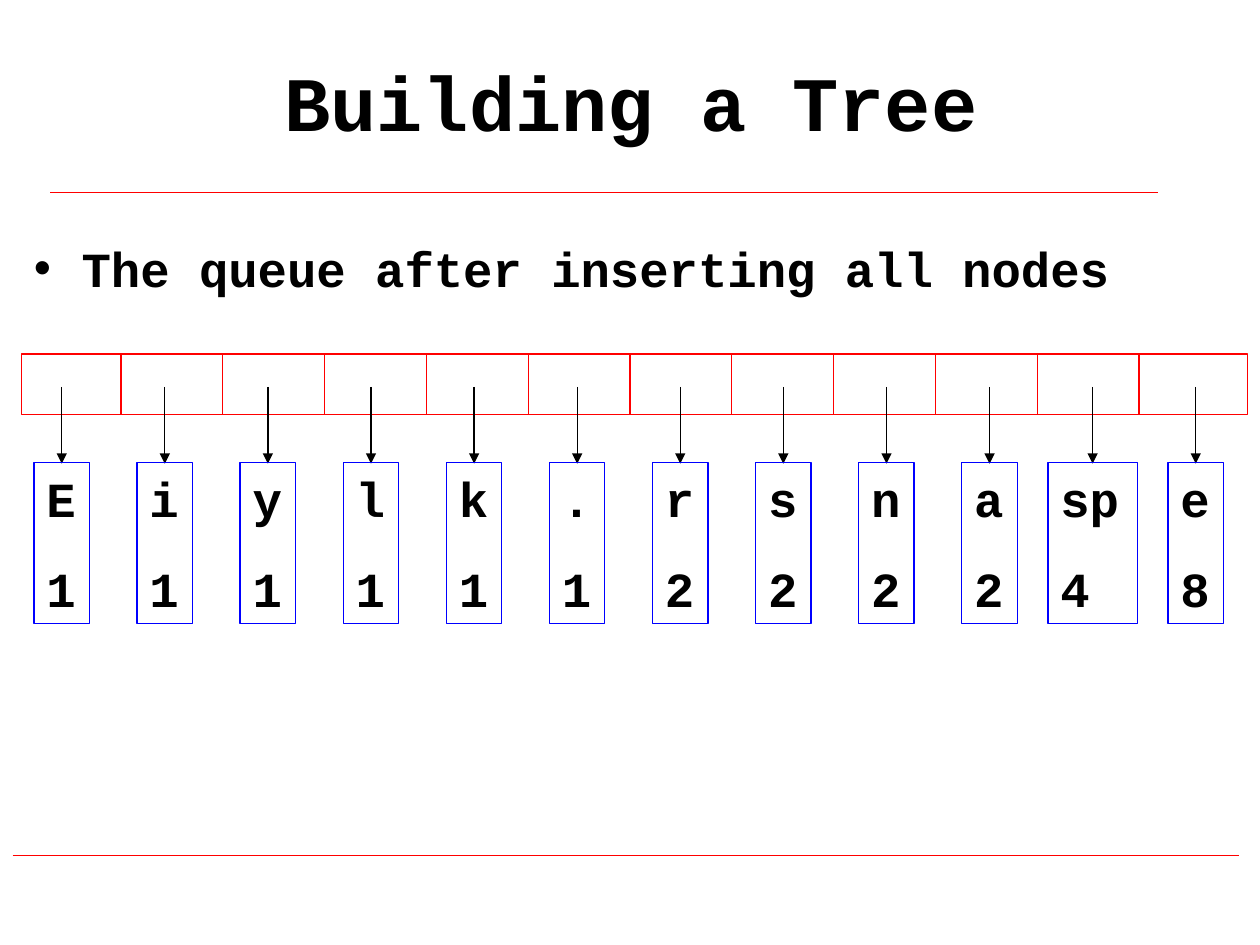
import pptx
import pptx.util
import pptx.dml.color
import pptx.enum.shapes
import pptx.enum.text
import pptx.oxml
import pptx.oxml.ns
from pptx.util import Inches

FONT = "Courier New"
COLORS = {"text": "000000", "rule": "FF0000", "node": "0000FF", "paper": "FFFFFF"}
NODES = [("E", 1), ("i", 1), ("y", 1), ("l", 1), ("k", 1), (".", 1),
         ("r", 2), ("s", 2), ("n", 2), ("a", 2), ("sp", 4), ("e", 8)]


def color(name):
    return pptx.dml.color.RGBColor.from_string(COLORS[name])


def add_child(parent, tag, **attrs):
    node = pptx.oxml.ns.qn(tag)
    child = parent.makeelement(node, attrs)
    parent.append(child)
    return child


def style(para, size):
    font = para.font
    font.name, font.size, font.bold = FONT, pptx.util.Pt(size), True
    font.color.rgb = color("text")


def add_line(slide, x1, y1, x2, y2, tint, arrow=False):
    line = slide.shapes.add_connector(
        pptx.enum.shapes.MSO_CONNECTOR.STRAIGHT,
        Inches(x1), Inches(y1), Inches(x2), Inches(y2))
    line.line.color.rgb = color(tint)
    line.line.width = pptx.util.Pt(0.75)
    props = line.line._get_or_add_ln()
    if arrow:
        add_child(props, "a:tailEnd", type="triangle")
    add_child(props.getparent(), "a:effectLst")


def add_box(slide, x, y, w, h, tint, fill=None):
    box = slide.shapes.add_shape(
        pptx.enum.shapes.MSO_SHAPE.RECTANGLE,
        Inches(x), Inches(y), Inches(w), Inches(h))
    box.shadow.inherit = False
    if fill:
        box.fill.solid()
        box.fill.fore_color.rgb = color(fill)
    else:
        box.fill.background()
    box.line.color.rgb = color(tint)
    box.line.width = pptx.util.Pt(0.75)
    return box


def add_text(slide, x, y, w, h, text):
    frame = slide.shapes.add_textbox(
        Inches(x), Inches(y), Inches(w), Inches(h)).text_frame
    frame.word_wrap = True
    frame.text = text
    return frame


def add_title(slide, x, y, w, h):
    frame = add_text(slide, x, y, w, h, "Building a Tree")
    frame.vertical_anchor = pptx.enum.text.MSO_ANCHOR.MIDDLE
    para = frame.paragraphs[0]
    para.alignment = pptx.enum.text.PP_ALIGN.CENTER
    style(para, 44)


def add_bullet(slide, x, y, w, h):
    frame = add_text(slide, x, y, w, h, "The queue after inserting all nodes")
    para = frame.paragraphs[0]
    props = para._p.get_or_add_pPr()
    props.set("marL", str(Inches(0.38)))
    props.set("indent", str(-Inches(0.38)))
    add_child(props, "a:buFont", typeface="Arial")
    add_child(props, "a:buChar", char="•")
    style(para, 28)


def add_queue(slide, x, y, w, h):
    """Draw the row of queue cells."""
    add_box(slide, x, y, w, h, "rule", "paper")
    for i in range(len(NODES) - 1):
        edge = x + 0.79 + 0.808 * i
        add_line(slide, edge, y, edge, y + h, "rule")


def add_node(slide, mid, y, h, name, count):
    w = 0.71 if len(name) > 1 else 0.44
    frame = add_box(slide, mid - w / 2, y, w, h, "node").text_frame
    frame.word_wrap = False
    frame.vertical_anchor = pptx.enum.text.MSO_ANCHOR.TOP
    frame.text = f"{name}\n{count}"
    for para in frame.paragraphs:
        para.alignment = pptx.enum.text.PP_ALIGN.LEFT
        style(para, 28)
    frame.paragraphs[1].space_before = pptx.util.Pt(17.5)


def add_nodes(slide, x, y, w, h):
    """Draw the nodes, each with an arrow from its queue cell."""
    step = (w - 0.44) / (len(NODES) - 1)
    for i, (name, count) in enumerate(NODES):
        mid = x + 0.22 + step * i
        add_line(slide, mid, y - 0.6, mid, y + 0.01, "text", arrow=True)
        add_node(slide, mid, y, h, name, count)


def main():
    deck = pptx.Presentation()
    deck.slide_width, deck.slide_height = Inches(10), Inches(7.5)
    slide = deck.slides.add_slide(deck.slide_layouts[6])
    add_line(slide, 0.4, 1.53, 9.19, 1.53, "rule")
    add_line(slide, 0.1, 6.79, 9.83, 6.79, "rule")
    add_title(slide, 0.76, 0.17, 8.5, 1.25)
    add_bullet(slide, 0.17, 1.84, 9.83, 4.45)
    add_queue(slide, 0.17, 2.81, 9.73, 0.48)
    add_nodes(slide, 0.27, 3.67, 9.44, 1.28)
    deck.save("out.pptx")


if __name__ == "__main__":
    main()
